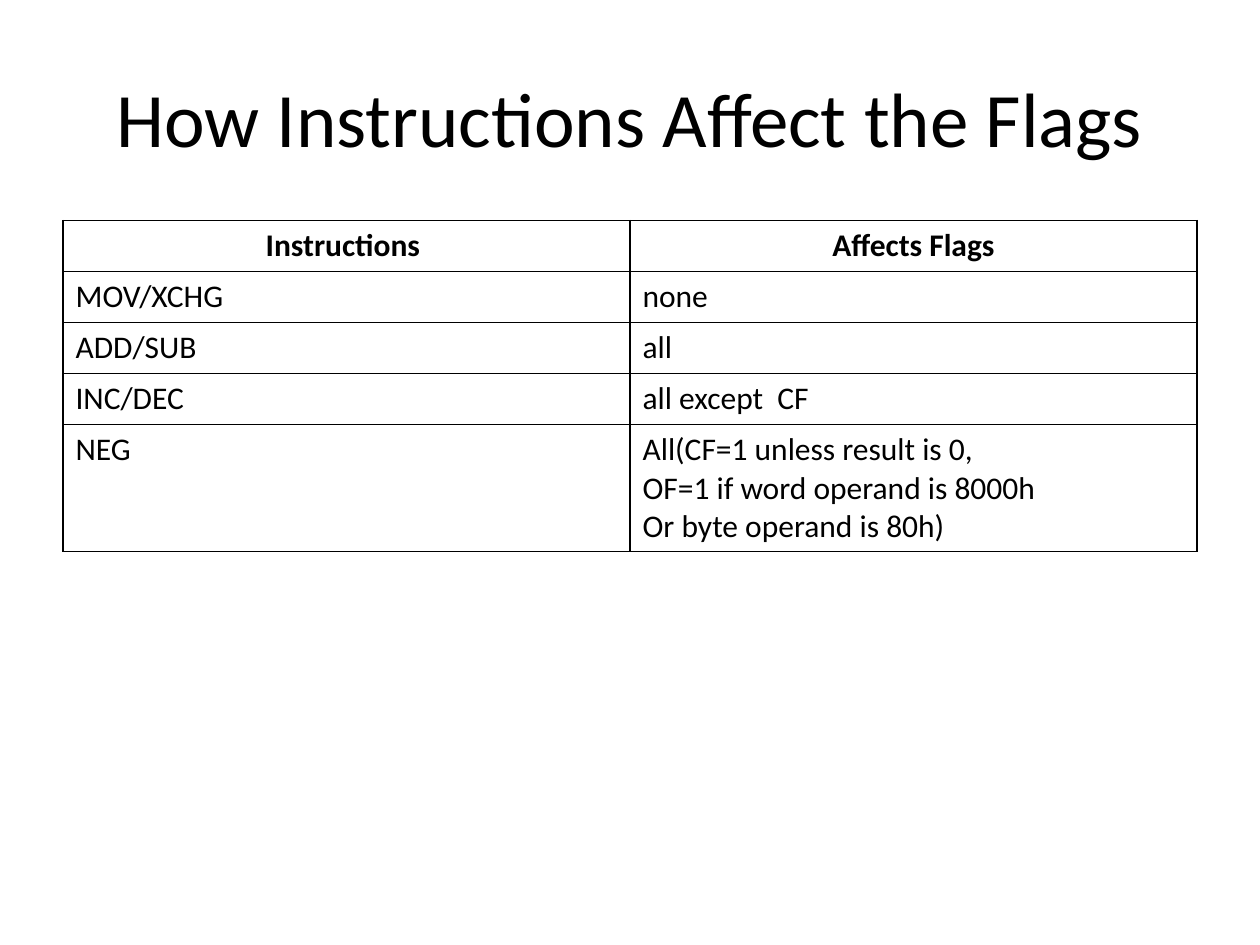
from lxml.etree import SubElement
from pptx import Presentation
from pptx.dml.color import RGBColor
from pptx.enum.text import MSO_ANCHOR as Anchor, PP_ALIGN as Align
from pptx.oxml.ns import qn
from pptx.util import Inches, Pt

BLACK = RGBColor(0x00, 0x00, 0x00)
WHITE = RGBColor(0xFF, 0xFF, 0xFF)

INSTRUCTION_FLAGS = [
    ("Instructions ", "Affects Flags"),
    ("MOV/XCHG", "none"),
    ("ADD/SUB", "all"),
    ("INC/DEC", "all except  CF"),
    ("NEG", "All(CF=1 unless result is 0,\n"
            "OF=1 if word operand is 8000h\n"
            "Or byte operand is 80h)"),
]


class SlideBuilder:
    """Holds the style and the slide; lengths are in grid units of half an inch."""

    font_name = "Calibri"
    title_size = 44
    table_size = 18
    unit = Inches(0.5)

    def __init__(self, presentation):
        self.slide = presentation.slides.add_slide(presentation.slide_layouts[6])
        self.slide.background.fill.solid()
        self.slide.background.fill.fore_color.rgb = WHITE

    def place(self, *lengths):
        return [round(length * self.unit) for length in lengths]

    def set_text(self, text_frame, text, size, align, bold=False):
        text_frame.text = text
        for paragraph in text_frame.paragraphs:
            paragraph.alignment = align
            for run in paragraph.runs:
                run.font.name = self.font_name
                run.font.size = Pt(size)
                run.font.bold = bold
                run.font.color.rgb = BLACK

    def title(self, text, left, top, width, height):
        box = self.slide.shapes.add_textbox(*self.place(left, top, width, height))
        box.text_frame.word_wrap = True
        box.text_frame.vertical_anchor = Anchor.MIDDLE
        self.set_text(box.text_frame, text, self.title_size, Align.CENTER)

    def outline(self, cell):
        properties = cell._tc.get_or_add_tcPr()
        for position, side in enumerate(("a:lnL", "a:lnR", "a:lnT", "a:lnB")):
            line = SubElement(properties, qn(side), w=str(Pt(1)))
            properties.insert(position, line)
            fill = SubElement(line, qn("a:solidFill"))
            SubElement(fill, qn("a:srgbClr"), val=str(BLACK))

    def table(self, rows, left, top, width, row_heights):
        shape = self.slide.shapes.add_table(
            len(rows), len(rows[0]), *self.place(left, top, width, sum(row_heights)))
        table = shape.table
        for row_index, (texts, height) in enumerate(zip(rows, row_heights)):
            table.rows[row_index].height = self.place(height)[0]
            header = row_index == 0
            align = Align.CENTER if header else Align.LEFT
            for column_index, text in enumerate(texts):
                cell = table.cell(row_index, column_index)
                cell.fill.background()
                self.outline(cell)
                self.set_text(cell.text_frame, text, self.table_size, align, header)


def main():
    presentation = Presentation()
    presentation.slide_width = Inches(10)
    presentation.slide_height = Inches(7.5)
    builder = SlideBuilder(presentation)

    # Title
    builder.title("How Instructions Affect the Flags", 1, 0.6, 18, 2.5)

    # Table: four single-line rows and one of three lines
    builder.table(INSTRUCTION_FLAGS, 1, 3.5, 18, [0.81] * 4 + [2.02])

    presentation.save("out.pptx")


if __name__ == "__main__":
    main()
